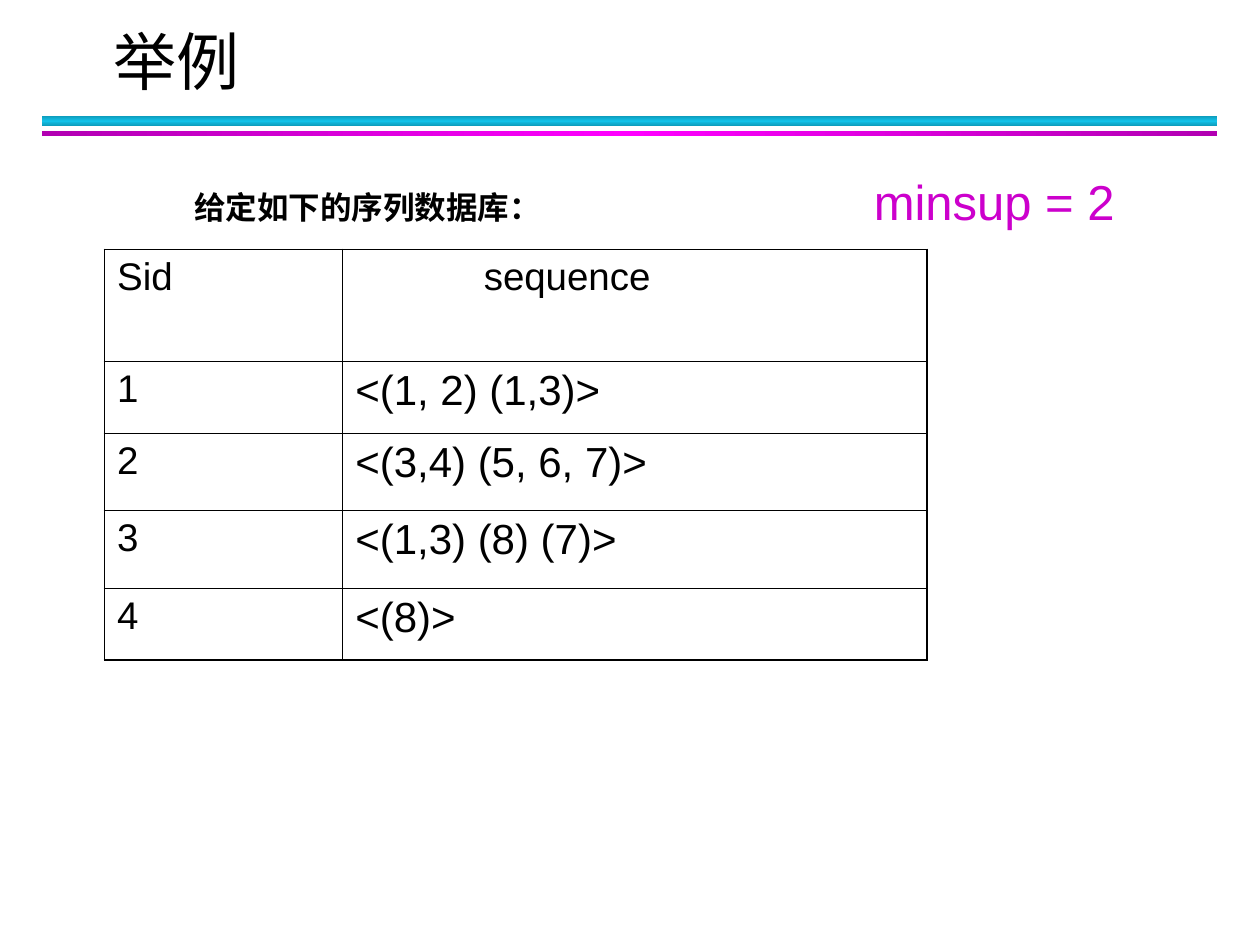
import copy

import pptx
import pptx.dml.color
import pptx.enum.shapes
import pptx.enum.text
import pptx.oxml
import pptx.oxml.ns
import pptx.util
from pptx.util import Inches

RGBColor = pptx.dml.color.RGBColor
ALIGN = pptx.enum.text.PP_ALIGN
BLACK = RGBColor(0, 0, 0)
PURPLE = RGBColor(0xCC, 0, 0xCC)
TEAL = RGBColor(0x0E, 0x9B, 0xBA)
CYAN = RGBColor(0x12, 0xC2, 0xE9)
PLUM = RGBColor(0xB2, 0, 0xB2)
PINK = RGBColor(0xFF, 0, 0xFF)

HAN = "Noto Sans CJK SC"
THICK, THIN = 1.08, 0.45
COLS = [1.89, 4.64]
ROWS = [0.89, 0.57, 0.61, 0.62, 0.57]
DATA = [
    ("Sid", "sequence"),
    ("1", "<(1, 2) (1,3)>"),
    ("2", "<(3,4) (5, 6, 7)>"),
    ("3", "<(1,3) (8) (7)>"),
    ("4", "<(8)>"),
]


def write(frame, text, size, face="Arial", color=BLACK, bold=False, align=ALIGN.LEFT):
    para = frame.paragraphs[0]
    run = para.add_run()
    run.text = text
    para.alignment = align
    font = para.font
    font.size = pptx.util.Pt(size)
    font.name = face
    font.bold = bold
    font.color.rgb = color
    east = pptx.oxml.parse_xml(
        f'<a:ea {pptx.oxml.ns.nsdecls("a")} typeface="{HAN}"/>')
    font._element.find(pptx.oxml.ns.qn("a:latin")).addnext(east)
    run._r.get_or_add_rPr().append(copy.deepcopy(east))
    return para


def place(shape, box):
    shape.left, shape.top, shape.width, shape.height = map(Inches, box)


def add_title(slide, box, text):
    title = slide.shapes.title
    place(title, box)
    frame = title.text_frame
    frame.auto_size = pptx.enum.text.MSO_AUTO_SIZE.NONE
    frame.vertical_anchor = pptx.enum.text.MSO_ANCHOR.MIDDLE
    write(frame, text, 36, HAN)


def add_bar(slide, box, edge, core, angle):
    bar = slide.shapes.add_shape(
        pptx.enum.shapes.MSO_SHAPE.RECTANGLE, *map(Inches, box))
    bar.shadow.inherit = False
    bar.line.fill.background()
    bar.fill.gradient()
    bar.fill.gradient_angle = angle
    stops = next(bar._element.iter(pptx.oxml.ns.qn("a:gsLst")))
    stops.insert(1, copy.deepcopy(stops[0]))
    for stop, color, spot in zip(bar.fill.gradient_stops, (edge, core, edge), (0, 0.5, 1)):
        stop.color.rgb = color
        stop.position = spot


def add_label(slide, box, text, size, **style):
    label = slide.shapes.add_textbox(*map(Inches, box))
    label.text_frame.word_wrap = True
    write(label.text_frame, text, size, align=ALIGN.CENTER, **style)


def edge_cell(cell, sides):
    props = cell._tc.get_or_add_tcPr()
    for spot, (side, width) in enumerate(sides.items()):
        props.insert(spot, pptx.oxml.parse_xml(
            f'<a:ln{side} {pptx.oxml.ns.nsdecls("a")} w="{pptx.util.Pt(width)}">'
            f'<a:solidFill><a:srgbClr val="{BLACK}"/></a:solidFill></a:ln{side}>'))


def add_grid(slide, box):
    grid = slide.shapes.add_table(len(ROWS), len(COLS), *map(Inches, box)).table
    grid.first_row = grid.horz_banding = False
    for col, width in zip(grid.columns, COLS):
        col.width = Inches(width)
    for row, height in zip(grid.rows, ROWS):
        row.height = Inches(height)
    for r, line in enumerate(DATA):
        for c, text in enumerate(line):
            cell = grid.cell(r, c)
            cell.fill.background()
            para = write(cell.text_frame, text, 24 if r and c else 22)
            if r == 0 and c == 1:
                para._p.get_or_add_pPr().set("marL", str(Inches(1.02)))
            outer = {"L": c == 0, "R": c == len(COLS) - 1,
                     "T": r == 0, "B": r == len(ROWS) - 1}
            edge_cell(cell, {s: THICK if out else THIN for s, out in outer.items()})


def main():
    deck = pptx.Presentation()
    deck.slide_width, deck.slide_height = Inches(10), Inches(7.5)
    slide = deck.slides.add_slide(deck.slide_layouts[5])
    add_bar(slide, (0.33, 0.92, 9.33, 0.08), TEAL, CYAN, 90)
    add_bar(slide, (0.33, 1.04, 9.33, 0.04), PLUM, PINK, 0)
    add_title(slide, (0.8, 0.18, 9, 0.6), "举例")
    add_grid(slide, (0.83, 1.98, sum(COLS), sum(ROWS)))
    add_label(slide, (0.71, 1.44, 4.41, 0.4), "给定如下的序列数据库：", 18,
              face="Cabin", bold=True)
    add_label(slide, (6.73, 1.31, 2.32, 0.57), "minsup = 2", 28, color=PURPLE)
    deck.save("out.pptx")


if __name__ == "__main__":
    main()
